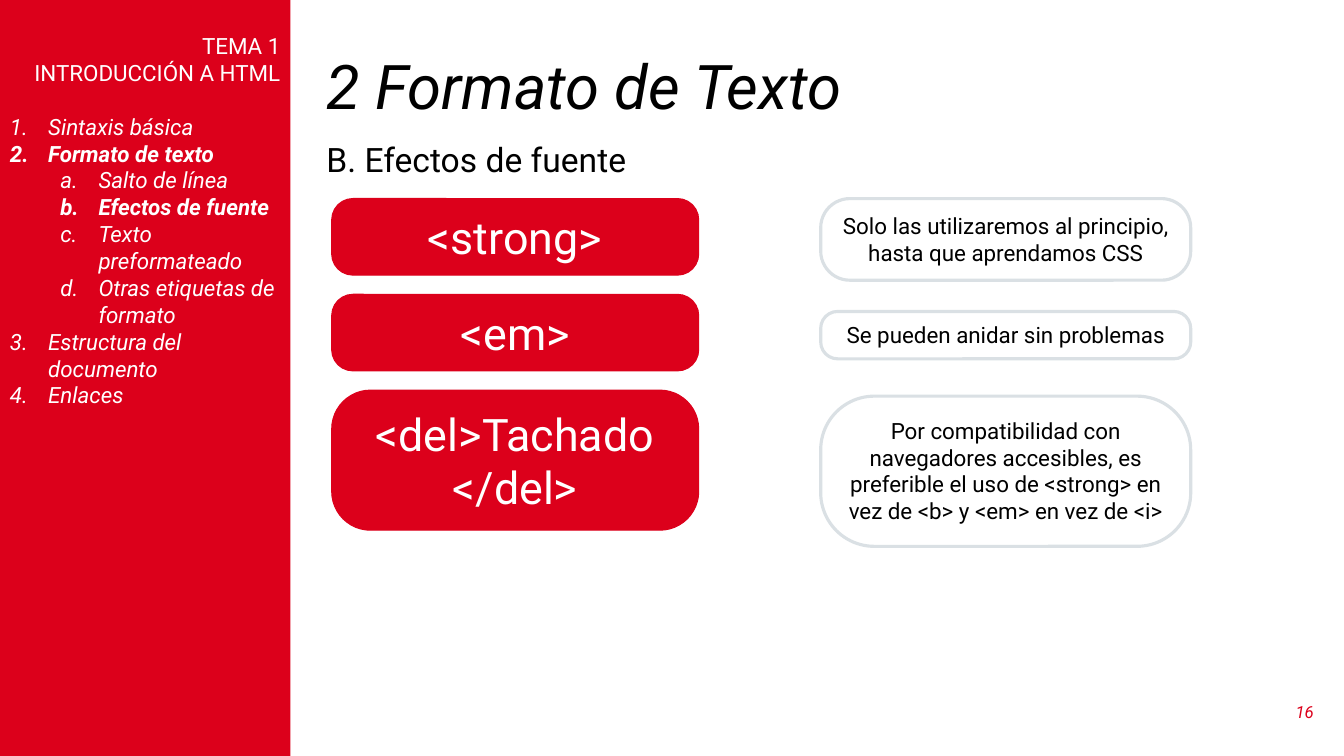
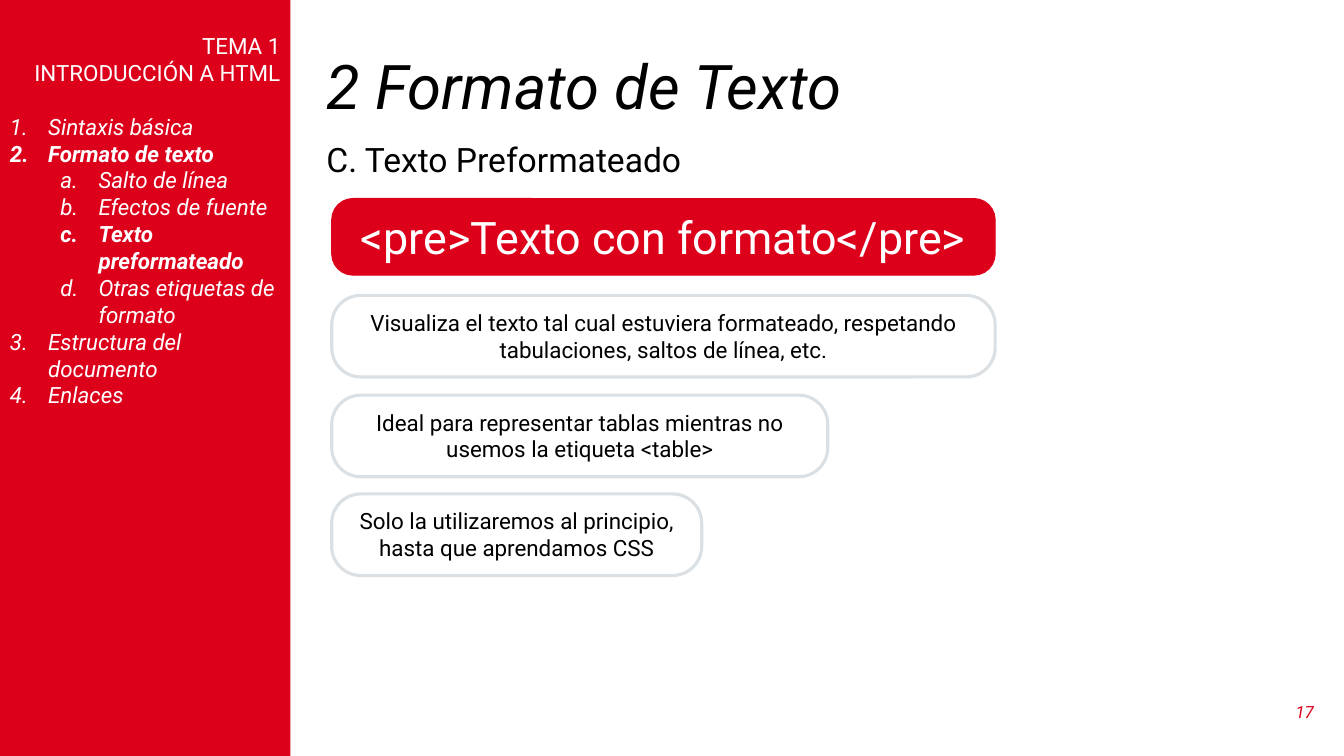
from pptx import Presentation
from pptx import util as u
from pptx.dml import color
from pptx.enum import shapes, text
from pptx.oxml import xmlchemy

THEME = {
    "font": "Roboto",
    "red": color.RGBColor.from_string("DC001B"),
    "grey": color.RGBColor.from_string("DAE0E4"),
    "black": color.RGBColor.from_string("000000"),
    "white": color.RGBColor.from_string("FFFFFF"),
    "title": 44,
    "tag": 32,
    "subtitle": 24,
    "body": 16,
    "number": 12,
}
CARDS = {
    "tag": {"fill": "red", "line": "red", "width": 0.75, "ink": "white", "round": 0.277},
    "body": {"fill": None, "line": "grey", "width": 2.25, "ink": "black", "round": 0.357},
}
LEFT, CENTER, RIGHT = text.PP_ALIGN.LEFT, text.PP_ALIGN.CENTER, text.PP_ALIGN.RIGHT
TOP, MIDDLE = text.MSO_ANCHOR.TOP, text.MSO_ANCHOR.MIDDLE
GROW, FIXED = text.MSO_AUTO_SIZE.SHAPE_TO_FIT_TEXT, text.MSO_AUTO_SIZE.NONE

HEADING = ["TEMA 1", "INTRODUCCIÓN A HTML"]
OUTLINE = [
    (0, "Sintaxis básica"),
    (0, "Formato de texto"),
    (1, "Salto de línea"),
    (1, "Efectos de fuente"),
    (1, "Texto preformateado"),
    (1, "Otras etiquetas de formato"),
    (0, "Estructura del documento"),
    (0, "Enlaces"),
]
NUMBERING = ["arabicPeriod", "alphaLcPeriod"]
INDENTS = [0.38, 0.88]
HANGING = 0.38
COLUMN, NOTES = 3.29, 8.14

LESSONS = [
    {
        "number": "16",
        "subtitle": "B. Efectos de fuente",
        "current": "Efectos de fuente",
        "cards": [
            ("tag", COLUMN, 1.97, 3.64, 0.76, "<strong>"),
            ("tag", COLUMN, 2.92, 3.64, 0.76, "<em>"),
            ("tag", COLUMN, 3.87, 3.64, 1.39, "<del>Tachado </del>"),
            ("body", NOTES, 1.97, 3.67, 0.81,
             "Solo las utilizaremos al principio, hasta que aprendamos CSS"),
            ("body", NOTES, 3.09, 3.67, 0.47, "Se pueden anidar sin problemas"),
            ("body", NOTES, 3.93, 3.67, 1.49,
             "Por compatibilidad con navegadores accesibles, es preferible el uso de "
             "<strong> en vez de <b> y <em> en vez de <i>"),
        ],
    },
    {
        "number": "17",
        "subtitle": "C. Texto Preformateado",
        "current": "Texto preformateado",
        "cards": [
            ("tag", COLUMN, 1.97, 6.58, 0.76, "<pre>Texto con formato</pre>"),
            ("body", COLUMN, 2.93, 6.58, 0.81,
             "Visualiza el texto tal cual estuviera formateado, respetando tabulaciones, "
             "saltos de línea, etc."),
            ("body", COLUMN, 3.92, 4.92, 0.81,
             "Ideal para representar tablas mientras no usemos la etiqueta <table>"),
            ("body", COLUMN, 4.9, 3.67, 0.81,
             "Solo la utilizaremos al principio, hasta que aprendamos CSS"),
        ],
    },
]


def write(paragraph, words, size, ink, align=LEFT, bold=False, italic=False):
    paragraph.alignment = align
    run = paragraph.add_run()
    run.text = words
    formats = {"name": THEME["font"], "size": u.Pt(THEME[size]), "bold": bold, "italic": italic}
    for key, value in formats.items():
        setattr(run.font, key, value)
    run.font.color.rgb = THEME[ink]


def set_frame(shape, anchor=TOP, auto_size=FIXED):
    frame = shape.text_frame
    formats = {"word_wrap": True, "vertical_anchor": anchor, "auto_size": auto_size}
    for key, value in formats.items():
        setattr(frame, key, value)
    return frame


deck = Presentation()
deck.slide_width, deck.slide_height = u.Inches(13.33), u.Inches(7.5)

for lesson in LESSONS:
    slide = deck.slides.add_slide(deck.slide_layouts[6])

    sidebar = slide.shapes.add_shape(
        shapes.MSO_SHAPE.RECTANGLE, 0, 0, u.Inches(2.88), deck.slide_height)
    sidebar.shadow.inherit = False
    sidebar.fill.solid()
    sidebar.fill.fore_color.rgb = THEME["red"]
    sidebar.line.fill.background()
    index = set_frame(sidebar)
    index.margin_top = u.Inches(0.32)
    for row, words in enumerate(HEADING):
        entry = index.add_paragraph() if row else index.paragraphs[0]
        write(entry, words, "body", "white", RIGHT)
    for row, (level, words) in enumerate(OUTLINE):
        entry = index.add_paragraph()
        entry.level = level
        entry.space_before = u.Pt(0 if row else 19.2)
        current = words in ("Formato de texto", lesson["current"])
        write(entry, words, "body", "white", bold=current, italic=True)
        layout = entry._p.get_or_add_pPr()
        layout.set("marL", str(u.Inches(INDENTS[level])))
        layout.set("indent", str(-u.Inches(HANGING)))
        bullet = xmlchemy.OxmlElement("a:buAutoNum")
        bullet.set("type", NUMBERING[level])
        layout.append(bullet)

    for box, words, size, ink, align, anchor, auto_size, italic, spacing in [
        ((3.14, 0.5, 9.99, 0.78), "2 Formato de Texto", "title", "black",
         LEFT, MIDDLE, FIXED, True, 0.9),
        ((3.14, 1.33, 7.46, 0.5), lesson["subtitle"], "subtitle", "black",
         LEFT, TOP, GROW, False, 1.0),
        ((12.62, 6.86, 0.51, 0.4), lesson["number"], "number", "red",
         RIGHT, MIDDLE, FIXED, True, 1.0),
    ]:
        label = slide.shapes.add_textbox(*map(u.Inches, box))
        line = set_frame(label, anchor, auto_size).paragraphs[0]
        line.line_spacing = spacing
        write(line, words, size, ink, align, italic=italic)

    for kind, left, top, width, height, words in lesson["cards"]:
        look = CARDS[kind]
        card = slide.shapes.add_shape(
            shapes.MSO_SHAPE.ROUNDED_RECTANGLE, *map(u.Inches, (left, top, width, height)))
        card.shadow.inherit = False
        card.adjustments[0] = look["round"]
        if look["fill"]:
            card.fill.solid()
            card.fill.fore_color.rgb = THEME[look["fill"]]
        else:
            card.fill.background()
        card.line.color.rgb = THEME[look["line"]]
        card.line.width = u.Pt(look["width"])
        write(set_frame(card, auto_size=GROW).paragraphs[0], words, kind, look["ink"], CENTER)

deck.save("out.pptx")
